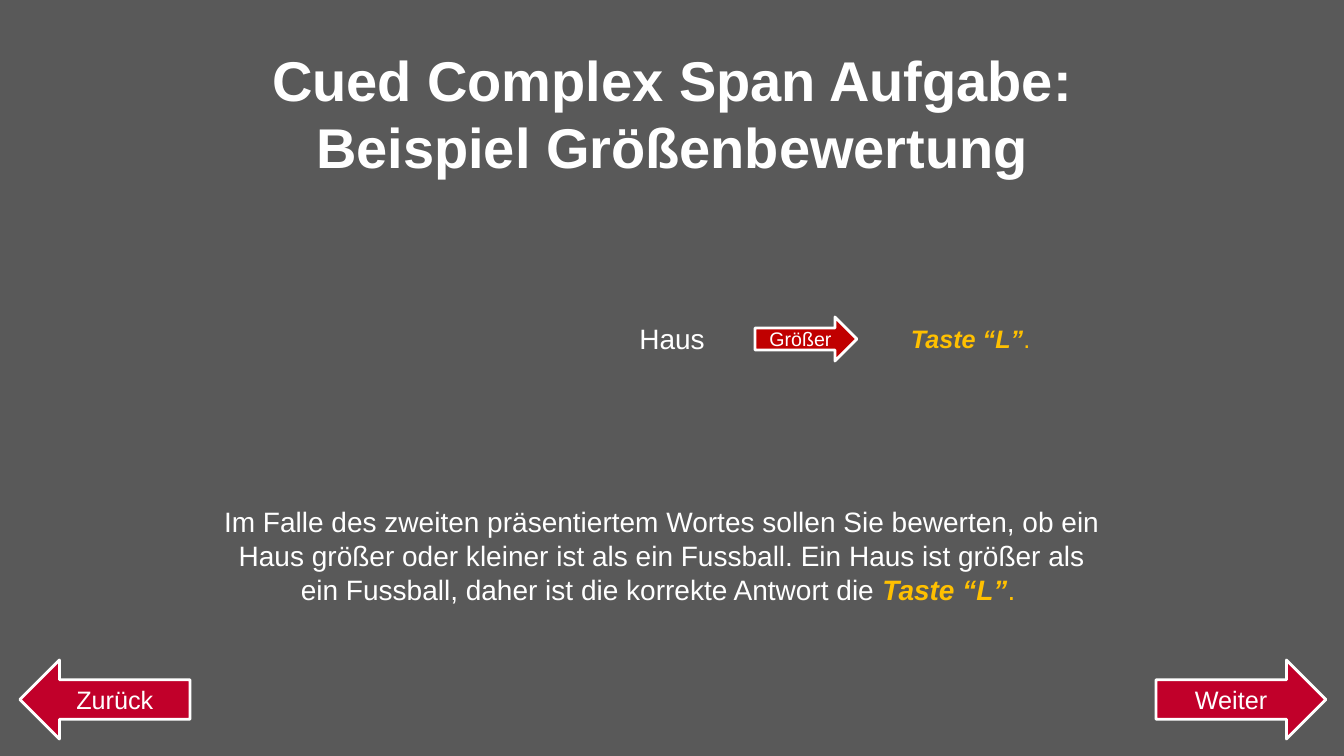
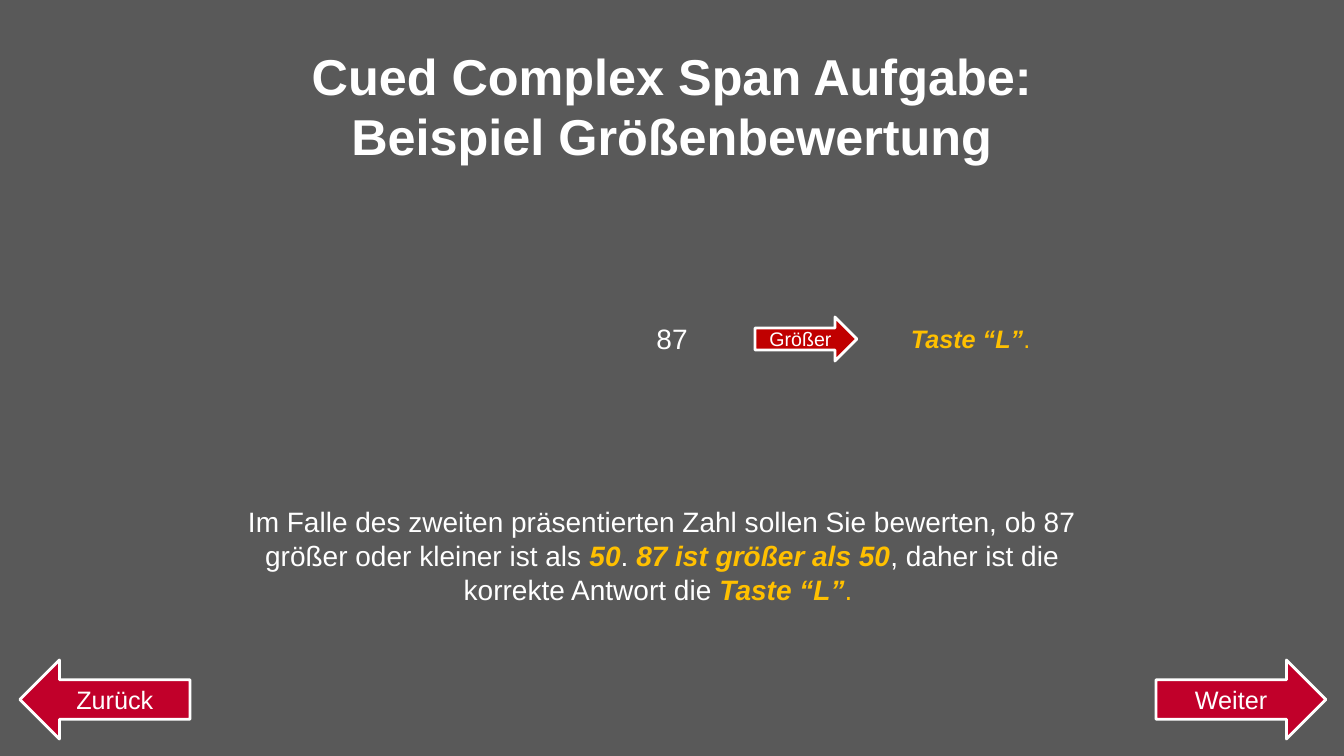
from pptx import Presentation
from pptx import util as u
from pptx.dml.color import RGBColor
from pptx.enum import shapes, text

SCALE = u.Inches(1) / 100.8
FONT = "Arial"
GREY, WHITE, GOLD = "595959", "FFFFFF", "FFC000"
RED, DARK_RED = "C1002A", "C00000"
PLAIN = {"color": WHITE, "bold": False, "italic": False}
HEADING = {"color": WHITE, "bold": True, "italic": False}
KEY = {"color": GOLD, "bold": True, "italic": True}
KEY_END = {"color": GOLD, "bold": False, "italic": False}
LEFT, CENTER = text.PP_ALIGN.LEFT, text.PP_ALIGN.CENTER
TOP, MIDDLE = text.MSO_ANCHOR.TOP, text.MSO_ANCHOR.MIDDLE
RIGHT_ARROW = shapes.MSO_SHAPE.RIGHT_ARROW
LEFT_ARROW = shapes.MSO_SHAPE.LEFT_ARROW

TITLE = ["Cued Complex Span Aufgabe:", "Beispiel Größenbewertung"]
ARROWS = [
    ("Weiter", RIGHT_ARROW, (1156, 660, 170, 79), RED, 18),
    ("Zurück", LEFT_ARROW, (20, 660, 170, 79), RED, 18),
    ("Größer", RIGHT_ARROW, (755, 317, 102, 44), DARK_RED, 14),
]
SLIDES = [
    {
        "title_size": 40,
        "stimulus": "Haus",
        "explanation": [
            ("Im Falle des zweiten präsentiertem Wortes sollen Sie bewerten, "
             "ob ein Haus größer oder kleiner ist als ein Fussball. Ein Haus "
             "ist größer als ein Fussball, daher ist die korrekte Antwort die ",
             PLAIN),
            ("Taste “L”", KEY),
            (". ", KEY_END),
        ],
    },
    {
        "title_size": 36,
        "stimulus": "87",
        "explanation": [
            ("Im Falle des zweiten präsentierten Zahl sollen Sie bewerten, "
             "ob 87 größer oder kleiner ist als ", PLAIN),
            ("50", KEY),
            (". ", PLAIN),
            ("87 ist größer als 50", KEY),
            (", daher ist die korrekte Antwort die ", PLAIN),
            ("Taste “L”", KEY),
            (". ", KEY_END),
        ],
    },
]


def rgb(value):
    return RGBColor.from_string(value)


def place_text(box, bounds, lines, size, align=CENTER, anchor=TOP):
    for side, length in zip(("left", "top", "width", "height"), bounds):
        setattr(box, side, round(length * SCALE))
    frame = box.text_frame
    settings = {"word_wrap": True, "auto_size": text.MSO_AUTO_SIZE.NONE,
                "vertical_anchor": anchor}
    for name, value in settings.items():
        setattr(frame, name, value)
    for index, spans in enumerate(lines):
        para = frame.add_paragraph() if index else frame.paragraphs[0]
        para.alignment = align
        for words, style in spans:
            span = para.add_run()
            span.text = words
            font = {"name": FONT, "size": u.Pt(size),
                    "bold": style["bold"], "italic": style["italic"]}
            for name, value in font.items():
                setattr(span.font, name, value)
            span.font.color.rgb = rgb(style["color"])


deck = Presentation()
deck.slide_width = round(1344 * SCALE)
deck.slide_height = round(756 * SCALE)
background = deck.slide_master.background.fill
background.solid()
background.fore_color.rgb = rgb(GREY)

for content in SLIDES:
    page = deck.slides.add_slide(deck.slide_layouts[5])
    place_text(page.shapes.title, (242, 40, 860, 144),
               [[(line, HEADING)] for line in TITLE], content["title_size"])

    for label, preset, bounds, color, size in ARROWS:
        arrow = page.shapes.add_shape(preset, 0, 0, 0, 0)
        arrow.shadow.inherit = False
        arrow.fill.solid()
        arrow.fill.fore_color.rgb = rgb(color)
        arrow.line.color.rgb = rgb(WHITE)
        arrow.line.width = u.Pt(2)
        place_text(arrow, bounds, [[(label, PLAIN)]], size, anchor=MIDDLE)

    answer = [("Taste “L”", KEY), (".", KEY_END)]
    for bounds, spans, size, align in [
        ((210, 500, 904, 120), content["explanation"], 20, CENTER),
        ((613, 317, 118, 44), [(content["stimulus"], PLAIN)], 20, CENTER),
        ((901, 318, 150, 40), answer, 18, LEFT),
    ]:
        box = page.shapes.add_textbox(0, 0, 0, 0)
        place_text(box, bounds, [spans], size, align)

deck.save("out.pptx")
